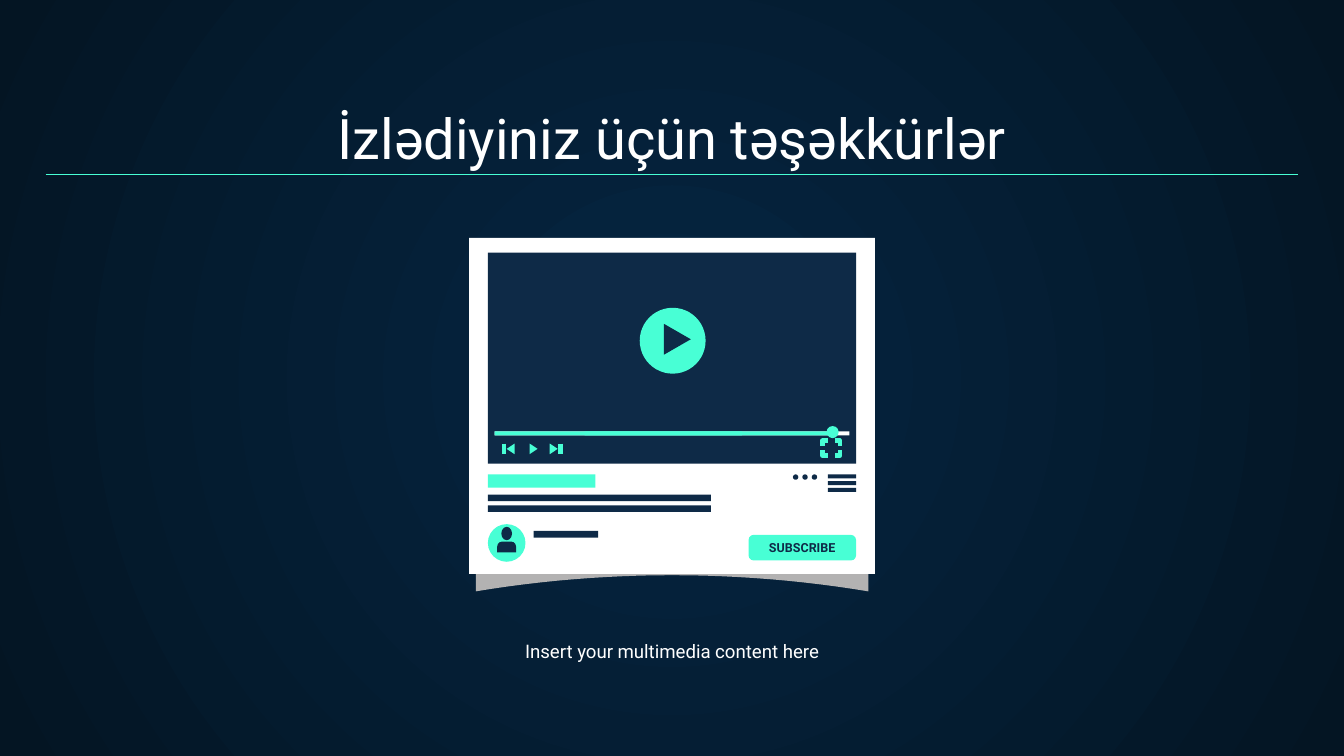
from lxml import etree
from pptx import Presentation
from pptx.dml.color import RGBColor
from pptx.enum.shapes import MSO_CONNECTOR, MSO_SHAPE as SHAPE
from pptx.enum.text import MSO_ANCHOR as ANCHOR, PP_ALIGN
from pptx.oxml.ns import qn
from pptx.util import Inches, Pt

COLORS = {"white": "FFFFFF", "teal": "48FFD5", "navy": "0E2A47",
          "gray": "B3B2B2", "center": "052643", "edge": "041523"}
ICON_LINE = 2.45


def rgb(name):
    """Return the named colour."""
    return RGBColor.from_string(COLORS[name])


def set_background(s):
    """Fill the slide with a gradient spreading from its centre."""
    fill = s.background.fill
    fill.gradient()
    for stop, name, pos in zip(fill.gradient_stops, ("center", "edge"), (0, 1)):
        stop.color.rgb = rgb(name)
        stop.position = pos
    lin = next(s._element.iter(qn("a:lin")))
    circle = etree.Element(qn("a:path"), {"path": "circle"})
    etree.SubElement(circle, qn("a:fillToRect"),
                     dict.fromkeys("ltrb", "50000"))
    lin.getparent().replace(lin, circle)


def paint(sp, color):
    """Give a shape a plain fill with no line or shadow."""
    sp.shadow.inherit = False
    sp.fill.solid()
    sp.fill.fore_color.rgb = rgb(color)
    sp.line.fill.background()
    return sp


def add_block(s, x, y, w, h, color, kind=SHAPE.RECTANGLE):
    """Add a filled preset shape."""
    box = map(Inches, (x, y, w, h))
    return paint(s.shapes.add_shape(kind, *box), color)


def add_path(s, points, closed=True):
    """Add a freeform through the given points."""
    pts = [(Inches(x), Inches(y)) for x, y in points]
    builder = s.shapes.build_freeform(*pts[0])
    builder.add_line_segments(pts[1:], close=closed)
    return builder.convert_to_shape()


def add_line(s, x1, y1, x2, y2, width):
    """Add a straight teal line."""
    line = s.shapes.add_connector(MSO_CONNECTOR.STRAIGHT,
                                  *map(Inches, (x1, y1, x2, y2)))
    line.line.color.rgb = rgb("teal")
    line.line.width = Pt(width)
    etree.SubElement(line._element.spPr, qn("a:effectLst"))


def write(sp, text, size, color="white", anchor=ANCHOR.TOP, margin=0.1,
          bold=False, spacing=1.0):
    """Write one centred paragraph into a shape."""
    tf = sp.text_frame
    frame = {"word_wrap": True, "vertical_anchor": anchor}
    for side in ("left", "right", "top", "bottom"):
        frame[f"margin_{side}"] = Inches(margin)
    for name, value in frame.items():
        setattr(tf, name, value)
    p = tf.paragraphs[0]
    p.alignment = PP_ALIGN.CENTER
    p.line_spacing = spacing
    r = p.add_run()
    r.text = text
    for name, value in {"name": "Roboto", "size": Pt(size), "bold": bold}.items():
        setattr(r.font, name, value)
    r.font.color.rgb = rgb(color)


def add_text(s, x, y, w, h, text, size, **fmt):
    """Add a text box."""
    write(s.shapes.add_textbox(*map(Inches, (x, y, w, h))), text, size, **fmt)


def add_triangle(s, x, y, w, h, color):
    """Add a triangle whose tip lies w away from its upright side."""
    paint(add_path(s, [(x, y), (x, y + h), (x + w, y + h / 2)]), color)


def add_card(s, x, y, w, h):
    """Add the white card and its curved shadow."""
    steps = [i / 12 for i in range(-12, 13)]
    mid, half = x + w / 2, w / 2 - 0.05
    curve = [(mid + t * half, y + h + 0.01 + 0.12 * t * t) for t in steps]
    top = [(px, py - 2.17) for px, py in reversed(curve)]
    paint(add_path(s, curve + top), "gray")
    add_block(s, x, y, w, h, "white")


def add_player(s, x, y, w, h):
    """Add the screen, play button, progress bar and controls."""
    add_block(s, x, y, w, h, "navy")
    bar = y + 1.33
    for dx, length, color in ((0.05, 2.64, "white"), (0.05, 1.84, "teal"),
                              (0.72, 1.84, "teal")):
        add_block(s, x + dx, bar, length, 0.03, color)
    add_block(s, x + 2.52, bar - 0.04, 0.09, 0.09, "teal", SHAPE.OVAL)
    add_block(s, x + w / 2 - 0.24, y + 0.41, 0.49, 0.49, "teal", SHAPE.OVAL)
    add_triangle(s, x + 1.31, y + 0.53, 0.2, 0.23, "navy")

    top = y + 1.42
    for dx, tip in ((0.2, -0.06), (0.31, 0.06), (0.46, 0.06)):
        add_triangle(s, x + dx, top, tip, 0.08, "teal")
    for dx in (0.12, 0.54):
        add_line(s, x + dx, top, x + dx, top + 0.08, ICON_LINE)

    for dx, sx in ((2.49, 1), (2.62, -1)):
        for dy, sy in ((1.4, 1), (1.51, -1)):
            cx, cy = x + dx, y + dy
            corner = add_path(s, [(cx, cy + sy * 0.04), (cx, cy),
                                  (cx + sx * 0.04, cy)], closed=False)
            corner.shadow.inherit = False
            corner.fill.background()
            corner.line.color.rgb = rgb("teal")
            corner.line.width = Pt(ICON_LINE)


def add_details(s, x, y, w):
    """Add the caption bars, menu, avatar and button below the screen."""
    add_block(s, x, y, 0.8, 0.1, "teal")
    for dy in (0.15, 0.23):
        add_block(s, x, y + dy, 1.66, 0.05, "navy")
    add_block(s, x + 0.34, y + 0.42, 0.48, 0.05, "navy")
    for i in range(3):
        add_block(s, x + w - 0.21, y + i * 0.05, 0.21, 0.03, "navy")
        add_block(s, x + 2.27 + i * 0.07, y, 0.04, 0.04, "navy", SHAPE.OVAL)

    add_block(s, x, y + 0.37, 0.28, 0.28, "teal", SHAPE.OVAL)
    add_block(s, x + 0.1, y + 0.39, 0.08, 0.1, "navy", SHAPE.OVAL)
    body = add_block(s, x + 0.07, y + 0.5, 0.14, 0.08, "navy",
                     SHAPE.ROUND_2_SAME_RECTANGLE)
    body.adjustments[0] = 0.45

    button = add_block(s, x + w - 0.8, y + 0.45, 0.8, 0.19, "teal",
                       SHAPE.ROUNDED_RECTANGLE)
    button.adjustments[0] = 0.2
    write(button, "SUBSCRIBE", 6.7, color="navy", anchor=ANCHOR.MIDDLE,
          margin=0, bold=True)


def add_video(s, x, y, w, h):
    """Add the whole video card."""
    add_card(s, x, y, w, h)
    add_player(s, x + 0.14, y + 0.11, w - 0.28, 1.57)
    add_details(s, x + 0.14, y + 1.76, w - 0.28)


def add_heading(s, x, y, w, h):
    """Add the title with a rule under it."""
    add_text(s, x, y + 0.01, w, h, "İzlədiyiniz üçün təşəkkürlər", 30,
             anchor=ANCHOR.BOTTOM)
    add_line(s, x, y + 0.6, x + w, y + 0.6, 0.75)


def main():
    """Build and save the slide."""
    prs = Presentation()
    prs.slide_width = Inches(10)
    prs.slide_height = prs.slide_width * 9 // 16
    s = prs.slides.add_slide(prs.slide_layouts[6])
    set_background(s)
    add_heading(s, 0.34, 0.7, 9.32, 0.66)
    add_text(s, 3.36, 4.64, 3.28, 0.39, "Insert your multimedia content here",
             10, spacing=1.15)
    add_video(s, 3.49, 1.77, 3.02, 2.5)
    prs.save("out.pptx")


if __name__ == "__main__":
    main()
